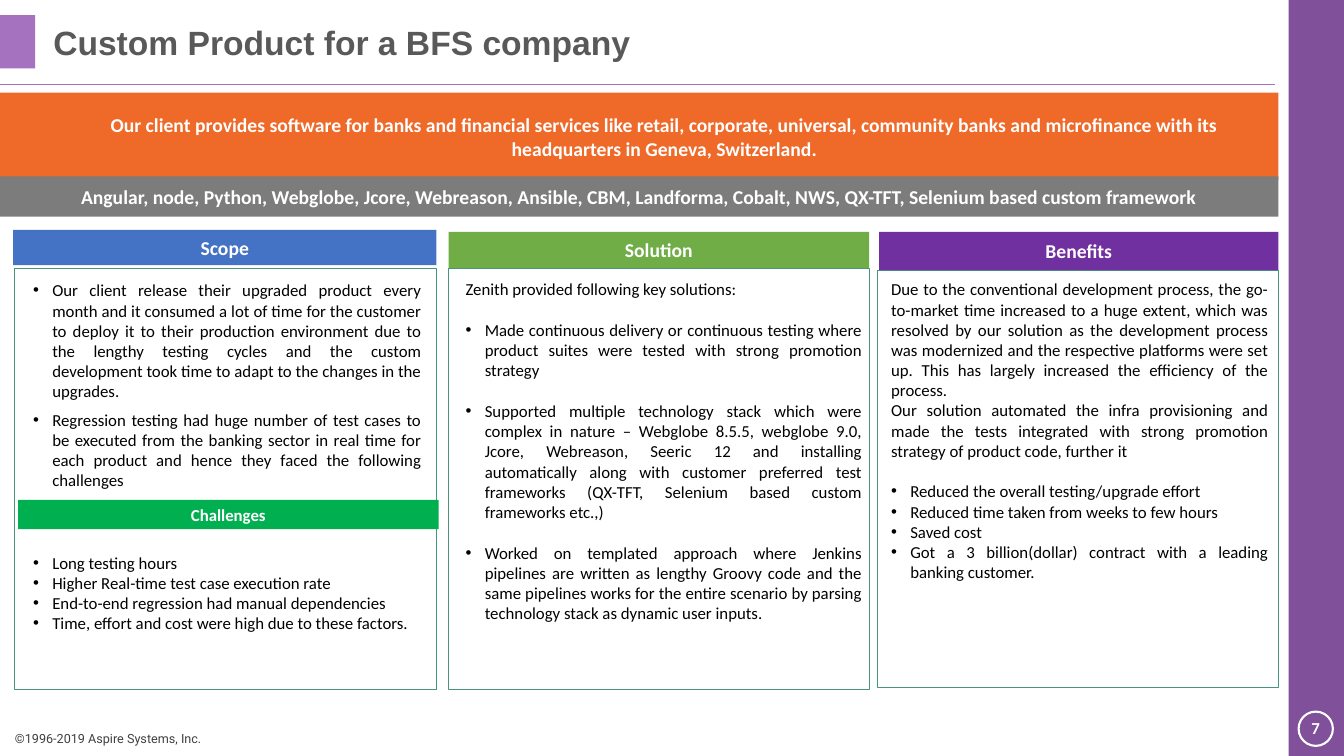
import pptx
import pptx.util
import pptx.dml.color
import pptx.enum.shapes
import pptx.enum.text
from lxml import etree

Inches, Pt = pptx.util.Inches, pptx.util.Pt
ALIGN, ANCHOR = pptx.enum.text.PP_ALIGN, pptx.enum.text.MSO_ANCHOR
SHAPE = pptx.enum.shapes.MSO_SHAPE

# Content
TITLE = "Custom Product for a BFS company"
CLIENT = ("Our client provides software for banks and financial services like retail, corporate, "
          "universal, community banks and microfinance with its headquarters in Geneva, Switzerland.")
STACK = ("Angular, node, Python, Webglobe, Jcore, Webreason, Ansible, CBM, Landforma, Cobalt, NWS, "
         "QX-TFT, Selenium based custom framework")
COPYRIGHT = "©1996-2019 Aspire Systems, Inc."
PAGE = "7"

SCOPE = [
    "Our client release their upgraded product every month and it consumed a lot of time for the "
    "customer to deploy it to their production environment due to the lengthy testing cycles and "
    "the custom development took time to adapt to the changes in the upgrades.",
    "Regression testing had huge number of test cases to be executed from the banking sector in "
    "real time for each product and hence they faced the following challenges",
]
CHALLENGES = [
    "Long testing hours",
    "Higher Real-time test case execution rate",
    "End-to-end regression had manual dependencies",
    "Time, effort and cost were high due to these factors.",
]
SOLUTION_INTRO = ["Zenith provided following key solutions:"]
SOLUTION = [
    "Made continuous delivery or continuous testing where product suites were tested with strong "
    "promotion strategy",
    "Supported multiple technology stack which were complex in nature – Webglobe 8.5.5, webglobe "
    "9.0, Jcore, Webreason, Seeric 12 and installing automatically along with customer preferred "
    "test frameworks (QX-TFT, Selenium based custom frameworks etc.,)",
    "Worked on templated approach where Jenkins pipelines are written as lengthy Groovy code and "
    "the same pipelines works for the entire scenario by parsing technology stack as dynamic user "
    "inputs.",
]
BENEFITS_INTRO = [
    "Due to the conventional development process, the go-to-market time increased to a huge "
    "extent, which was resolved by our solution as the development process was modernized and the "
    "respective platforms were set up. This has largely increased the efficiency of the process.",
    "Our solution automated the infra provisioning and made the tests integrated with strong "
    "promotion strategy of product code, further it",
]
BENEFITS = [
    "Reduced the overall testing/upgrade effort",
    "Reduced time taken from weeks to few hours",
    "Saved cost",
    "Got a 3 billion(dollar) contract with a leading banking customer.",
]

THEME = {
    "heading_font": "Arial", "body_font": "Calibri", "footer_font": "Roboto",
    "title_size": 24, "band_size": 14, "body_size": 12, "footer_size": 9,
    "title": "595959", "text": "000000", "footer": "404040", "white": "FFFFFF",
    "purple": "81509B", "lilac": "A472BE", "orange": "EF6928", "grey": "7C7C7C",
    "scope": "4472C4", "solution": "70AD47", "benefits": "7030A0",
    "challenges": "00B050", "frame": "459580",
}
BLANK_LINE = 14.65  # height of one body line, in points
HANG = 0.19

# (heading, colour, heading box, frame box)
COLUMNS = [
    ("Scope", "scope", (0.13, 2.28, 4.2, 0.35), (0.14, 2.66, 4.19, 4.18)),
    ("Solution", "solution", (4.45, 2.3, 4.17, 0.36), (4.44, 2.66, 4.18, 4.18)),
    ("Benefits", "benefits", (8.72, 2.3, 3.96, 0.38), (8.7, 2.68, 3.98, 4.14)),
]
# (box, groups of (paragraphs, bulleted, points before group, points between))
BODIES = [
    ((0.23, 2.73, 4.05, 2.2), [(SCOPE, True, 0, 6)]),
    ((0.23, 5.43, 4.05, 1), [(CHALLENGES, True, 0, 0)]),
    ((4.52, 2.72, 4.13, 3.33),
     [(SOLUTION_INTRO, False, 0, 0), (SOLUTION, True, BLANK_LINE, BLANK_LINE)]),
    ((8.74, 2.72, 3.94, 3.13),
     [(BENEFITS_INTRO, False, 0, 0), (BENEFITS, True, BLANK_LINE, 0)]),
]


def color(name):
    return pptx.dml.color.RGBColor.from_string(THEME[name])


def style(paragraph, size, ink, font="body_font", bold=False, align=ALIGN.LEFT):
    paragraph.alignment = align
    for run in paragraph.runs:
        run.font.name = THEME[font]
        run.font.size = Pt(THEME[size])
        run.font.bold = bold
        run.font.color.rgb = color(ink)


def add_block(slide, box, fill=None, line=None, width=0.25, kind=SHAPE.RECTANGLE):
    block = slide.shapes.add_shape(kind, *map(Inches, box))
    block.shadow.inherit = False
    if fill:
        block.fill.solid()
        block.fill.fore_color.rgb = color(fill)
    else:
        block.fill.background()
    if line:
        block.line.color.rgb = color(line)
        block.line.width = Pt(width)
    else:
        block.line.fill.background()
    return block


def add_band(slide, box, fill, text, size="band_size"):
    frame = add_block(slide, box, fill).text_frame
    frame.word_wrap = True
    frame.vertical_anchor = ANCHOR.MIDDLE
    frame.text = text
    style(frame.paragraphs[0], size, "white", bold=True, align=ALIGN.CENTER)
    return frame


def add_text(slide, box, text=""):
    frame = slide.shapes.add_textbox(*map(Inches, box)).text_frame
    frame.word_wrap = True
    frame.text = text
    return frame


def add_bullet(paragraph):
    props = paragraph._p.get_or_add_pPr()
    props.set("marL", str(Inches(HANG)))
    props.set("indent", str(-Inches(HANG)))
    etree.SubElement(props, pptx.oxml.ns.qn("a:buFont")).set("typeface", "Arial")
    etree.SubElement(props, pptx.oxml.ns.qn("a:buChar")).set("char", "•")


def add_body(slide, box, groups):
    frame = add_text(slide, box)
    first = True
    for paragraphs, bulleted, before, between in groups:
        for index, text in enumerate(paragraphs):
            paragraph = frame.paragraphs[0] if first else frame.add_paragraph()
            paragraph.text = text
            if bulleted:
                add_bullet(paragraph)
            if not first:
                paragraph.space_before = Pt(between if index else before)
            style(paragraph, "body_size", "text", align=ALIGN.JUSTIFY)
            first = False


def main():
    deck = pptx.Presentation()
    deck.slide_width, deck.slide_height = Inches(13.33), Inches(7.5)
    slide = deck.slides.add_slide(deck.slide_layouts[6])

    # Side bar, page number and footer
    add_block(slide, (12.78, 0, 0.55, 7.5), "purple")
    add_block(slide, (12.88, 7.06, 0.34, 0.34), line="white", width=1.5, kind=SHAPE.OVAL)
    page = add_text(slide, (12.85, 7.07, 0.4, 0.3), PAGE)
    style(page.paragraphs[0], "body_size", "white", bold=True, align=ALIGN.CENTER)
    footer = add_text(slide, (0.05, 7.2, 2.76, 0.25), COPYRIGHT)
    style(footer.paragraphs[0], "footer_size", "footer", "footer_font")

    # Title with its marker and rule
    add_block(slide, (0, 0.15, 0.35, 0.53), "lilac")
    rule = slide.shapes.add_connector(pptx.enum.shapes.MSO_CONNECTOR.STRAIGHT,
                                      *map(Inches, (0, 0.84, 12.65, 0.84)))
    rule.line.color.rgb = color("lilac")
    rule.line.width = Pt(0.5)
    etree.SubElement(rule._element.spPr, pptx.oxml.ns.qn("a:effectLst"))
    title = add_text(slide, (0.43, 0.17, 11.82, 0.5), TITLE)
    title.vertical_anchor = ANCHOR.MIDDLE
    style(title.paragraphs[0], "title_size", "title", "heading_font", bold=True)

    # Client and technology bands
    client = add_band(slide, (0, 0.92, 12.68, 0.87), "orange", CLIENT)
    client.paragraphs[0]._p.get_or_add_pPr().set("marL", str(Inches(0.5)))
    add_band(slide, (0, 1.75, 12.68, 0.4), "grey", STACK)

    # Three columns
    for heading, fill, heading_box, frame_box in COLUMNS:
        add_block(slide, frame_box, line="frame")
        add_band(slide, heading_box, fill, heading)
    for box, groups in BODIES:
        add_body(slide, box, groups)
    add_band(slide, (0.18, 4.96, 4.17, 0.29), "challenges", "Challenges", "body_size")

    deck.save("out.pptx")


if __name__ == "__main__":
    main()
